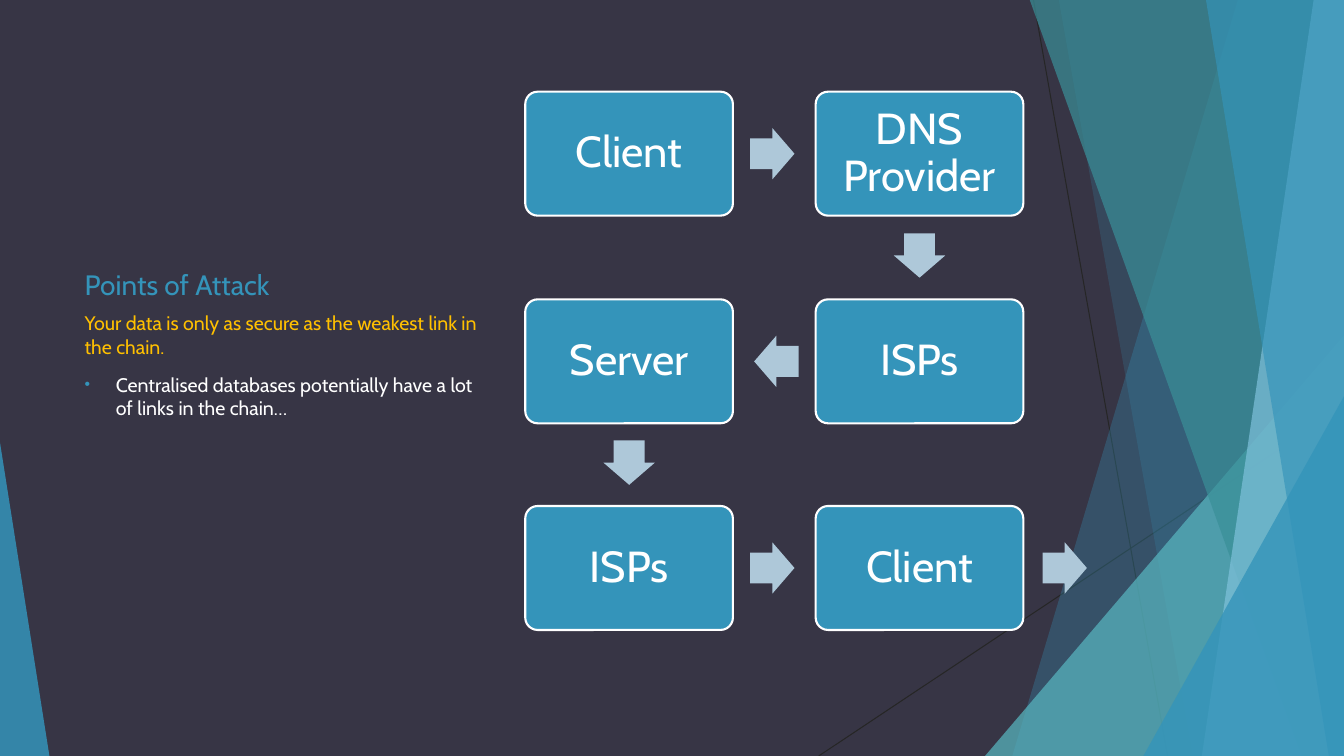
import pptx
import pptx.util
import pptx.dml.color
import pptx.enum.shapes
import pptx.enum.text
import pptx.oxml.ns
from lxml import etree
from pptx.util import Inches

SHAPES = pptx.enum.shapes.MSO_SHAPE
ANCHOR = pptx.enum.text.MSO_ANCHOR
ALIGN = pptx.enum.text.PP_ALIGN

TITLE = "Points of Attack"
SUBTITLE = "Your data is only as secure as the weakest link in the chain."
BULLET = "Centralised databases potentially have a lot of links in the chain…"

# Steps in reading order of the chain: label, column, row
STEPS = [
    ("Client", 0, 0),
    ("DNS Provider", 1, 0),
    ("ISPs", 1, 1),
    ("Server", 0, 1),
    ("ISPs", 0, 2),
    ("Client", 1, 2),
]

THEME = {
    "font": "Cabin",
    "background": "373545",
    "accent": "3494BA",
    "arrow": "AEC8D9",
    "white": "FFFFFF",
    "subtitle": "FFC000",
    "hairline": "262626",
    "title_size": 20,
    "body_size": 14,
    "step_size": 31,
}

WIDTH, HEIGHT, TOP = 13.33, 7.5, -0.01
HAIRLINES = [(10.25, 0, 11.58, HEIGHT), (WIDTH, 4.03, 8.12, HEIGHT)]
# Bands reach the right edge: top-left x, bottom-left x, colour, opacity %
# Triangles: left, top, width, height, apex position, colour, opacity %
FACETS = [
    ("band", (12.28, 10.04), "3494BA", 30),
    ("band", (10.5, 11.83), "3494BA", 20),
    ("triangle", (9.77, 3.33, 3.56, 4.17, 1), "58B6C0", 72),
    ("band", (10.21, 12.91), "3A8F98", 70),
    ("band", (13.03, 11.92), "7FC1DB", 70),
    ("band", (11.96, 13.18), "3494BA", 65),
    ("triangle", (11.34, 3.93, 1.99, 3.57, 1), "3494BA", 80),
    ("triangle", (0, 4.39, 0.49, 3.11, 0), "3494BA", 85),
]

COLUMN_LEFTS = (5.21, 8.09)
ROW_TOPS = (0.91, 2.97, 5.02)
STEP_WIDTH, STEP_HEIGHT = 2.06, 1.23
ARROW_LENGTH, ARROW_BREADTH = 0.44, 0.51
ARROW_PULL = 0.02  # arrows sit slightly nearer the step they leave
TEXT_LEFT, TEXT_WIDTH = 0.74, 4.22


def rgb(value):
    return pptx.dml.color.RGBColor.from_string(value)


def paint(shape, color, opacity=100):
    shape.shadow.inherit = False
    shape.line.fill.background()
    shape.fill.solid()
    shape.fill.fore_color.rgb = rgb(color)
    if opacity < 100:
        color_element = shape._element.spPr.find(".//" + pptx.oxml.ns.qn("a:srgbClr"))
        etree.SubElement(color_element, pptx.oxml.ns.qn("a:alpha"), val=str(opacity * 1000))


def set_font(paragraph, size, color):
    paragraph.font.name = THEME["font"]
    paragraph.font.size = pptx.util.Pt(size)
    paragraph.font.color.rgb = rgb(color)


def add_hairline(slide, ends):
    line = slide.shapes.add_connector(
        pptx.enum.shapes.MSO_CONNECTOR.STRAIGHT, *map(Inches, ends))
    line.line.color.rgb = rgb(THEME["hairline"])
    line.line.width = pptx.util.Pt(0.75)
    etree.SubElement(line._element.spPr, pptx.oxml.ns.qn("a:effectLst"))


def add_facet(slide, kind, geometry, color, opacity):
    if kind == "band":
        top_x, bottom_x = geometry
        corners = [(WIDTH, TOP), (WIDTH, HEIGHT), (bottom_x, HEIGHT)]
        builder = slide.shapes.build_freeform(Inches(top_x), Inches(TOP))
        builder.add_line_segments([(Inches(x), Inches(y)) for x, y in corners])
        facet = builder.convert_to_shape()
    else:
        *box, apex = geometry
        facet = slide.shapes.add_shape(SHAPES.ISOSCELES_TRIANGLE, *map(Inches, box))
        facet.adjustments[0] = apex
    paint(facet, color, opacity)


def add_step(slide, label, column, row):
    step = slide.shapes.add_shape(
        SHAPES.ROUNDED_RECTANGLE, Inches(COLUMN_LEFTS[column]), Inches(ROW_TOPS[row]),
        Inches(STEP_WIDTH), Inches(STEP_HEIGHT))
    step.adjustments[0] = 0.1
    paint(step, THEME["accent"])
    step.line.color.rgb = rgb(THEME["white"])
    step.line.width = pptx.util.Pt(1.5)
    frame = step.text_frame
    frame.word_wrap = True
    frame.vertical_anchor = ANCHOR.MIDDLE
    frame.margin_left = frame.margin_right = Inches(0.15)
    frame.margin_top = frame.margin_bottom = Inches(0.15)
    paragraph = frame.paragraphs[0]
    paragraph.text = label
    paragraph.alignment = ALIGN.CENTER
    paragraph.line_spacing = 0.9
    set_font(paragraph, THEME["step_size"], THEME["white"])


def add_arrow(slide, center_x, center_y, rotation=0):
    arrow = slide.shapes.add_shape(
        SHAPES.RIGHT_ARROW,
        Inches(center_x - ARROW_LENGTH / 2), Inches(center_y - ARROW_BREADTH / 2),
        Inches(ARROW_LENGTH), Inches(ARROW_BREADTH))
    arrow.adjustments[0] = 0.6
    arrow.adjustments[1] = 0.5
    arrow.rotation = rotation
    paint(arrow, THEME["arrow"])


def step_center(step):
    _, column, row = step
    return COLUMN_LEFTS[column] + STEP_WIDTH / 2, ROW_TOPS[row] + STEP_HEIGHT / 2


def add_chain(slide):
    for step in STEPS:
        add_step(slide, *step)
    for start, end in zip(STEPS, STEPS[1:]):
        (x1, y1), (x2, y2) = step_center(start), step_center(end)
        middle_x, middle_y = (x1 + x2) / 2, (y1 + y2) / 2
        if start[2] != end[2]:
            add_arrow(slide, middle_x, middle_y - ARROW_PULL, 90)
        elif x2 > x1:
            add_arrow(slide, middle_x - ARROW_PULL, middle_y)
        else:
            add_arrow(slide, middle_x + ARROW_PULL, middle_y, 180)
    # The chain carries on past the last step
    last_x, last_y = step_center(STEPS[-1])
    add_arrow(slide, last_x + (COLUMN_LEFTS[1] - COLUMN_LEFTS[0]) / 2, last_y)


def add_text_frame(slide, top, height, anchor):
    frame = slide.shapes.add_textbox(
        Inches(TEXT_LEFT), Inches(top), Inches(TEXT_WIDTH), Inches(height)).text_frame
    frame.word_wrap = True
    frame.vertical_anchor = anchor
    return frame


def add_bullet(paragraph):
    properties = paragraph._p.get_or_add_pPr()
    properties.set("marL", str(Inches(0.31)))
    properties.set("indent", str(Inches(-0.31)))
    qn = pptx.oxml.ns.qn
    color = etree.SubElement(properties, qn("a:buClr"))
    etree.SubElement(color, qn("a:srgbClr"), val=THEME["accent"])
    etree.SubElement(properties, qn("a:buSzPct"), val="80000")
    etree.SubElement(properties, qn("a:buFont"), typeface="Arial")
    etree.SubElement(properties, qn("a:buChar"), char="•")


def add_message(slide):
    title = add_text_frame(slide, 1.64, 1.4, ANCHOR.BOTTOM).paragraphs[0]
    title.text = TITLE
    set_font(title, THEME["title_size"], THEME["accent"])

    body = add_text_frame(slide, 3.04, 2.83, ANCHOR.TOP)
    subtitle = body.paragraphs[0]
    subtitle.text = SUBTITLE
    set_font(subtitle, THEME["body_size"], THEME["subtitle"])
    point = body.add_paragraph()
    point.text = BULLET
    point.space_before = pptx.util.Pt(10)
    add_bullet(point)
    set_font(point, THEME["body_size"], THEME["white"])


def main():
    presentation = pptx.Presentation()
    presentation.slide_width, presentation.slide_height = Inches(WIDTH), Inches(HEIGHT)
    slide = presentation.slides.add_slide(presentation.slide_layouts[6])
    slide.background.fill.solid()
    slide.background.fill.fore_color.rgb = rgb(THEME["background"])
    for ends in HAIRLINES:
        add_hairline(slide, ends)
    for facet in FACETS:
        add_facet(slide, *facet)
    add_message(slide)
    add_chain(slide)
    presentation.save("out.pptx")


if __name__ == "__main__":
    main()
